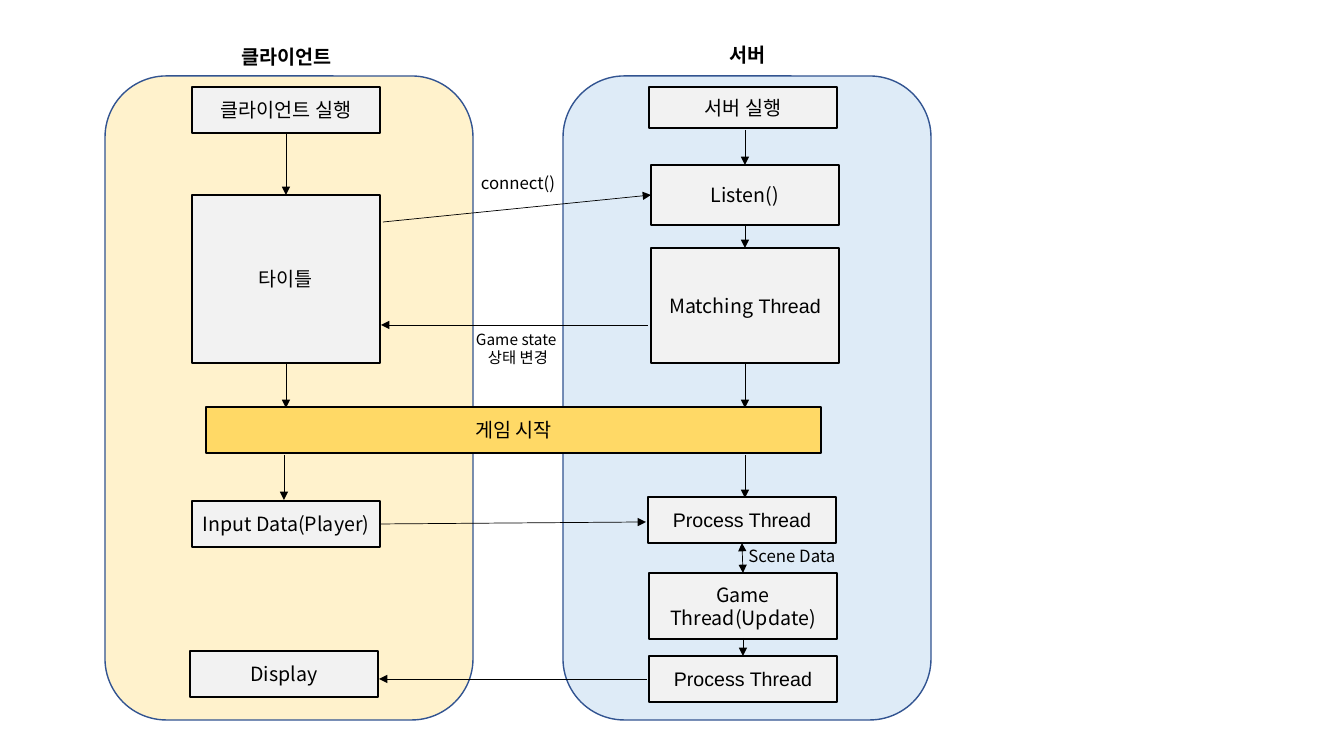
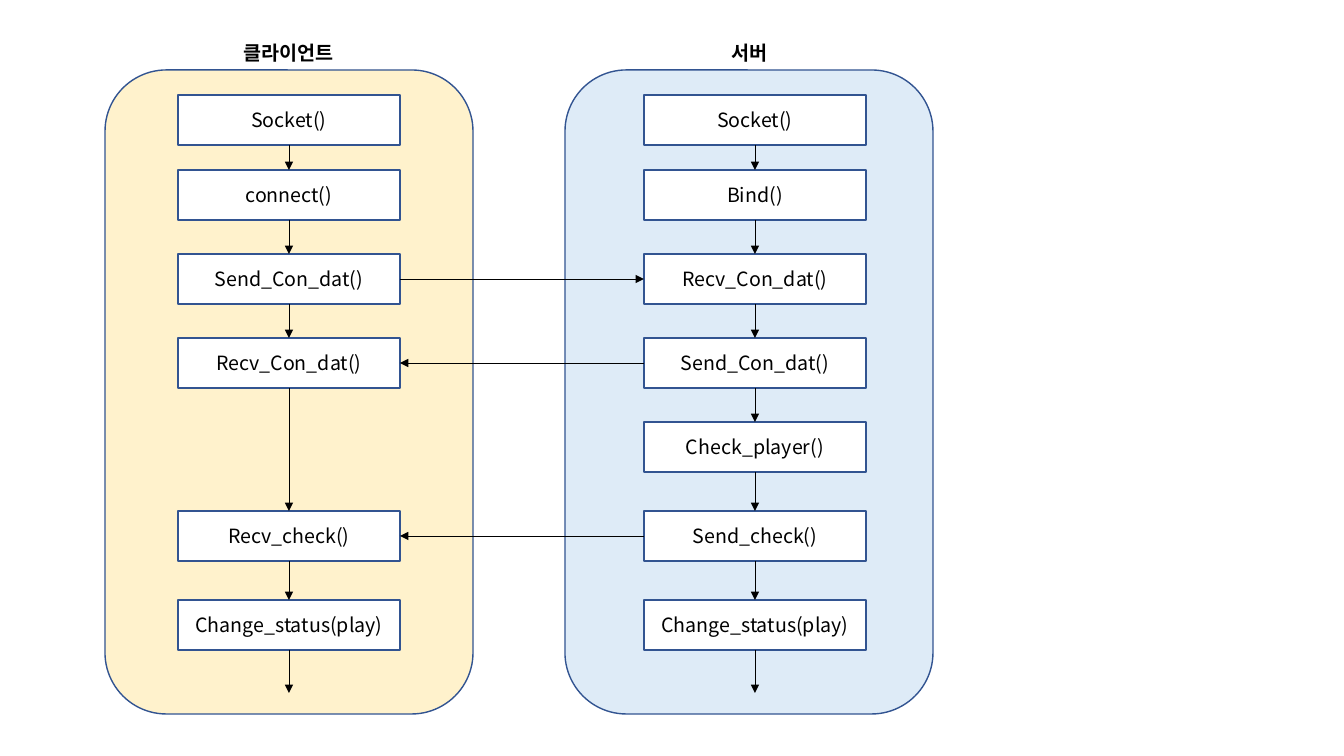
from dataclasses import dataclass
from itertools import pairwise

from lxml.etree import SubElement
from pptx import Presentation
from pptx.dml.color import RGBColor
from pptx.enum.shapes import MSO_CONNECTOR, MSO_SHAPE
from pptx.enum.text import MSO_ANCHOR, MSO_AUTO_SIZE, PP_ALIGN
from pptx.oxml.ns import qn
from pptx.shapes.autoshape import Shape
from pptx.slide import Slide
from pptx.text.text import TextFrame
from pptx.util import Emu, Pt

EMU_PER_PIXEL = 914400 / 100.8
SLIDE_WIDTH, SLIDE_HEIGHT = 1344, 756
PANEL_WIDTH, PANEL_HEIGHT = 368, 644
HEADING_WIDTH, HEADING_HEIGHT = 271, 34
KOREAN_FONT, LATIN_FONT = "Noto Sans CJK KR", "Arial"
COLORS = {
    "client": "FFF2CC",
    "server": "DEEBF7",
    "outline": "325491",
    "step": "F2F2F2",
    "start": "FFD966",
    "call": "FFFFFF",
    "black": "000000",
}


@dataclass(frozen=True)
class Words:
    text: str
    font: str = KOREAN_FONT


@dataclass(frozen=True)
class Panel:
    heading: str
    color: str
    left: int
    top: int
    heading_left: int
    heading_top: int


@dataclass(frozen=True)
class Box:
    left: int
    top: int
    width: int
    height: int
    runs: tuple[Words, ...]
    fill: str = "step"
    line: str = "black"


@dataclass(frozen=True)
class Label:
    left: int
    top: int
    width: int
    height: int
    lines: tuple[str, ...]
    size: int = 12
    bold: bool = False


@dataclass(frozen=True)
class Arrow:
    start_x: int
    start_y: int
    end_x: int
    end_y: int
    both_ends: bool = False


def pixels(value: int) -> Emu:
    return Emu(round(value * EMU_PER_PIXEL))


def color(name: str) -> RGBColor:
    return RGBColor.from_string(COLORS[name])


def write_lines(frame: TextFrame, lines: list[tuple[Words, ...]], size: int, bold: bool = False) -> None:
    frame.word_wrap = True
    for index, line in enumerate(lines):
        paragraph = frame.paragraphs[0] if index == 0 else frame.add_paragraph()
        paragraph.alignment = PP_ALIGN.CENTER
        for words in line:
            run = paragraph.add_run()
            run.text = words.text
            run.font.name = words.font
            run.font.size = Pt(size)
            run.font.bold = bold
            run.font.color.rgb = color("black")
            SubElement(run.font._element, qn("a:ea"), typeface=words.font)


def draw_shape(slide: Slide, kind: MSO_SHAPE, bounds: tuple[int, ...], fill: str, line: str) -> Shape:
    shape = slide.shapes.add_shape(kind, *map(pixels, bounds))
    shape.shadow.inherit = False
    shape.fill.solid()
    shape.fill.fore_color.rgb = color(fill)
    shape.line.color.rgb = color(line)
    shape.line.width = Pt(1)
    return shape


def draw_box(slide: Slide, box: Box) -> None:
    bounds = (box.left, box.top, box.width, box.height)
    shape = draw_shape(slide, MSO_SHAPE.RECTANGLE, bounds, box.fill, box.line)
    shape.text_frame.vertical_anchor = MSO_ANCHOR.MIDDLE
    write_lines(shape.text_frame, [box.runs], 14)


def draw_label(slide: Slide, label: Label) -> None:
    bounds = (label.left, label.top, label.width, label.height)
    frame = slide.shapes.add_textbox(*map(pixels, bounds)).text_frame
    frame.auto_size = MSO_AUTO_SIZE.SHAPE_TO_FIT_TEXT
    write_lines(frame, [(Words(line),) for line in label.lines], label.size, label.bold)


def draw_panel(slide: Slide, panel: Panel) -> None:
    bounds = (panel.left, panel.top, PANEL_WIDTH, PANEL_HEIGHT)
    draw_shape(slide, MSO_SHAPE.ROUNDED_RECTANGLE, bounds, panel.color, "outline")
    draw_label(slide, Label(panel.heading_left, panel.heading_top, HEADING_WIDTH,
                            HEADING_HEIGHT, (panel.heading,), 14, True))


def draw_arrow(slide: Slide, arrow: Arrow) -> None:
    ends = (arrow.start_x, arrow.start_y, arrow.end_x, arrow.end_y)
    connector = slide.shapes.add_connector(MSO_CONNECTOR.STRAIGHT, *map(pixels, ends))
    connector.line.color.rgb = color("black")
    connector.line.width = Pt(0.5)
    outline = connector.line._get_or_add_ln()
    if arrow.both_ends:
        SubElement(outline, qn("a:headEnd"), type="triangle")
    SubElement(outline, qn("a:tailEnd"), type="triangle")
    SubElement(connector._element.spPr, qn("a:effectLst"))


def draw_diagram(slide: Slide, panels: list[Panel], boxes: list[Box],
                 arrows: list[Arrow], labels: list[Label]) -> None:
    for panel in panels:
        draw_panel(slide, panel)
    for box in boxes:
        draw_box(slide, box)
    for arrow in arrows:
        draw_arrow(slide, arrow)
    for label in labels:
        draw_label(slide, label)


def step(left: int, top: int, height: int, *runs: Words) -> Box:
    return Box(left, top, 188, height, runs)


def draw_game_flow(slide: Slide) -> None:
    panels = [
        Panel("클라이언트", "client", 105, 76, 151, 40),
        Panel("서버", "server", 563, 76, 612, 38),
    ]
    process_thread = Words("Process Thread", LATIN_FONT)
    boxes = [
        step(192, 87, 46, Words("클라이언트 실행")),
        step(192, 195, 168, Words("타이틀")),
        step(192, 501, 46, Words("Input Data(Player)")),
        step(190, 651, 46, Words("Display")),
        step(649, 87, 41, Words("서버 실행")),
        step(651, 165, 60, Words("Listen()")),
        step(651, 248, 115, Words("Matching"), Words(" Thread", LATIN_FONT)),
        step(648, 497, 46, process_thread),
        step(649, 573, 66, Words("Game Thread(Update)")),
        step(649, 656, 46, process_thread),
        Box(206, 407, 615, 46, (Words("게임 시작"),), "start"),
    ]
    arrows = [
        Arrow(286, 133, 286, 195),
        Arrow(286, 364, 286, 408),
        Arrow(284, 455, 284, 500),
        Arrow(745, 130, 745, 165),
        Arrow(745, 225, 745, 248),
        Arrow(745, 364, 745, 408),
        Arrow(745, 455, 745, 498),
        Arrow(742, 543, 743, 573, True),
        Arrow(743, 638, 743, 656),
        Arrow(383, 222, 651, 195),
        Arrow(648, 325, 381, 325),
        Arrow(381, 524, 646, 522),
        Arrow(647, 679, 379, 679),
    ]
    labels = [
        Label(182, 168, 672, 30, ("connect()",)),
        Label(456, 541, 672, 30, ("Scene Data",)),
        Label(182, 325, 672, 47, ("Game state ", "상태 변경"), 11),
    ]
    draw_diagram(slide, panels, boxes, arrows, labels)


def draw_connection_flow(slide: Slide) -> None:
    panels = [
        Panel("클라이언트", "client", 105, 70, 153, 36),
        Panel("서버", "server", 565, 70, 614, 36),
    ]
    call_width, call_height = 222, 50
    client_left, server_left = 178, 644
    last_arrow_end = 693
    calls = [
        (95, "Socket()", "Socket()"),
        (170, "connect()", "Bind()"),
        (254, "Send_Con_dat()", "Recv_Con_dat()"),
        (338, "Recv_Con_dat()", "Send_Con_dat()"),
        (422, "", "Check_player()"),
        (511, "Recv_check()", "Send_check()"),
        (600, "Change_status(play)", "Change_status(play)"),
    ]
    boxes: list[Box] = []
    arrows: list[Arrow] = []
    for side, left in enumerate((client_left, server_left), start=1):
        column = [(call[0], call[side]) for call in calls if call[side]]
        boxes += [Box(left, top, call_width, call_height, (Words(text),), "call", "outline")
                  for top, text in column]
        center = left + call_width // 2
        stops = [top for top, _ in column] + [last_arrow_end]
        arrows += [Arrow(center, top + call_height, center, following)
                   for top, following in pairwise(stops)]
    client_right = client_left + call_width
    for row, start, end in ((2, client_right, server_left),
                            (3, server_left, client_right),
                            (5, server_left, client_right)):
        middle = calls[row][0] + call_height // 2
        arrows.append(Arrow(start, middle, end, middle))
    draw_diagram(slide, panels, boxes, arrows, [])


def main() -> None:
    presentation = Presentation()
    presentation.slide_width = pixels(SLIDE_WIDTH)
    presentation.slide_height = pixels(SLIDE_HEIGHT)
    blank_layout = presentation.slide_layouts[6]
    for draw_slide in (draw_game_flow, draw_connection_flow):
        draw_slide(presentation.slides.add_slide(blank_layout))
    presentation.save("out.pptx")


main()
